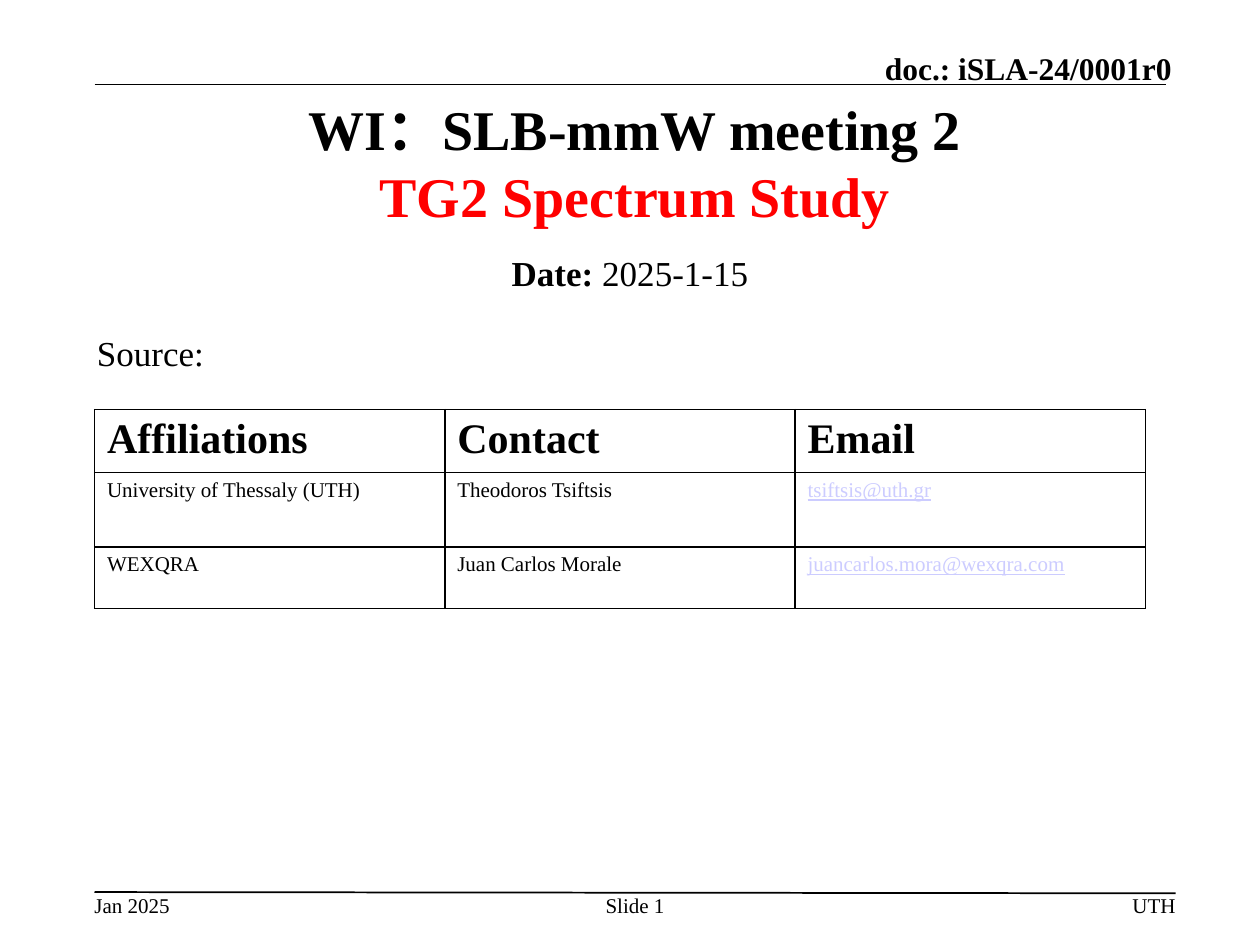
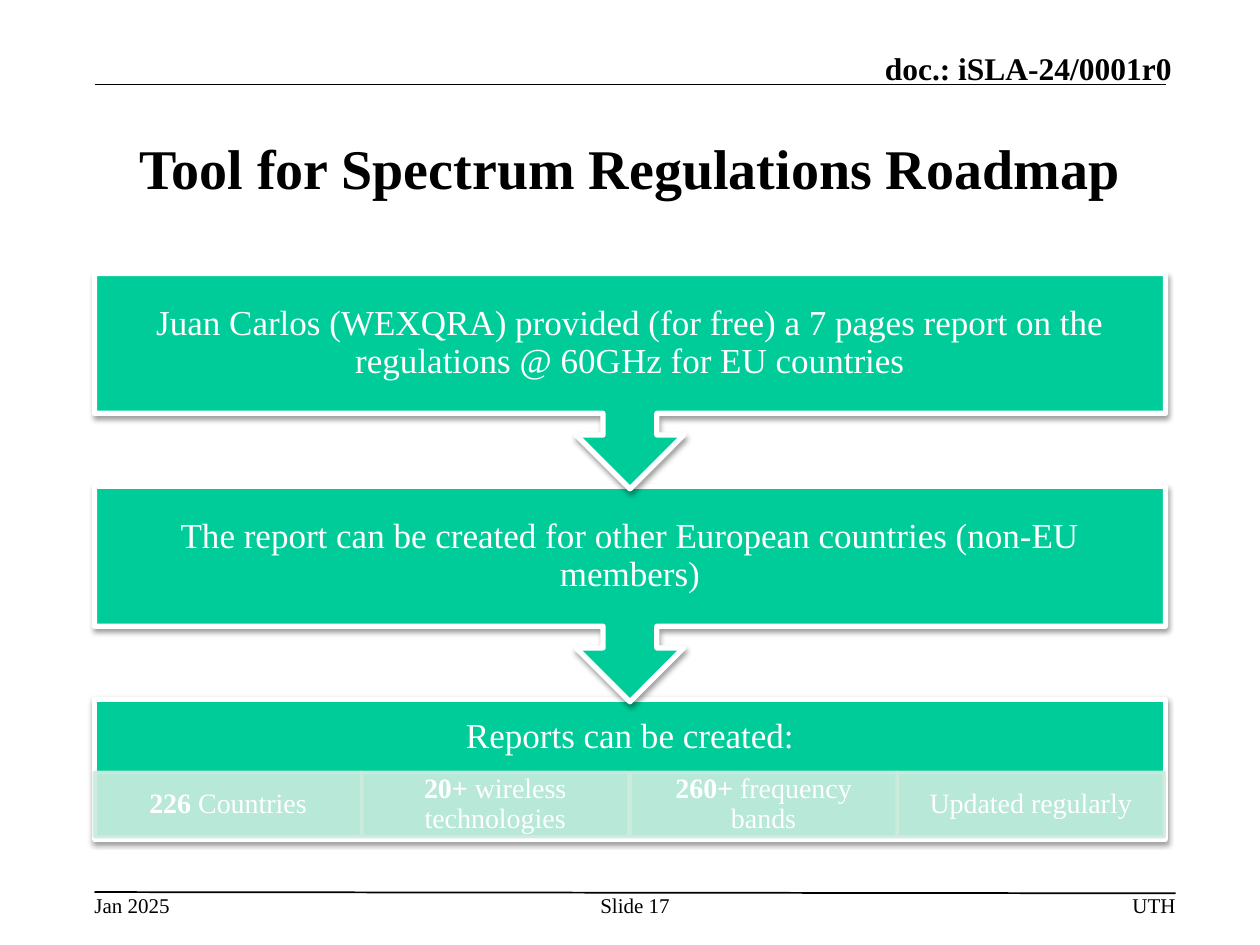
from dataclasses import dataclass

from lxml.etree import SubElement
from pptx import Presentation
from pptx.dml.color import RGBColor
from pptx.enum.shapes import MSO_CONNECTOR as CONN, MSO_SHAPE as SHAPE
from pptx.enum.text import MSO_ANCHOR as ANCHOR, PP_ALIGN as ALIGN
from pptx.oxml.ns import qn
from pptx.util import Emu, Pt

PX = 9144
FONT = "Times New Roman"
BLACK, WHITE, RED = "000000", "FFFFFF", "FF0000"
GREEN, MINT, LINK = "00CC99", "CCECDE", "CCCCFF"
LEFT, WIDTH = 75, 850


@dataclass(frozen=True)
class Box:
    x: int
    y: int
    w: int
    h: int

    def emu(self) -> list[Emu]:
        return [px(v) for v in (self.x, self.y, self.w, self.h)]


@dataclass(frozen=True)
class Style:
    size: int
    color: str = BLACK
    bold: bool = False
    underline: bool = False
    align: ALIGN = ALIGN.LEFT
    anchor: ANCHOR = ANCHOR.TOP
    insets: tuple[int, int, int, int] = (10, 5, 10, 5)
    before: int = 0
    spacing: float = 1.0
    wrap: bool = True


@dataclass(frozen=True)
class Label:
    box: Box
    text: str
    style: Style
    lead: str = ""


@dataclass(frozen=True)
class Panel:
    shape: SHAPE
    label: Label


FLUSH = (0, 0, 0, 0)
TITLE = Style(32, bold=True, align=ALIGN.CENTER, anchor=ANCHOR.MIDDLE)
FOOT = Style(12, insets=FLUSH, wrap=False)
FOOT_RIGHT = Style(12, align=ALIGN.RIGHT, insets=FLUSH)
FOOT_MID = Style(12, align=ALIGN.CENTER, insets=FLUSH)
DOC = Style(18, bold=True, align=ALIGN.RIGHT, anchor=ANCHOR.BOTTOM, insets=FLUSH)
DATE = Style(20, align=ALIGN.CENTER, before=5)
SOURCE = Style(20, before=5)
STEP = Style(20, WHITE, align=ALIGN.CENTER, anchor=ANCHOR.MIDDLE,
             insets=(16, 16, 16, 16), spacing=0.9)
STEP_HEAD = Style(20, WHITE, align=ALIGN.CENTER, anchor=ANCHOR.MIDDLE,
                  insets=(16, 16, 16, 67), spacing=0.9)
FACT = Style(16, WHITE, align=ALIGN.CENTER, anchor=ANCHOR.MIDDLE,
             insets=(12, 2, 12, 2), spacing=0.9)
HEAD_CELL = Style(24, bold=True)
CELL = Style(12)
LINK_CELL = Style(12, LINK, underline=True)

CHROME = [
    Label(Box(LEFT, 708, 60, 20), "Jan 2025", FOOT),
    Label(Box(547, 39, 383, 30), "doc.: iSLA-24/0001r0", DOC),
    Label(Box(750, 708, 183, 21), "UTH", FOOT_RIGHT),
]
RULES = [(LEFT, 67, 925, 67), (LEFT, 708, 933, 709)]

CONTACTS = [
    ("Affiliations", "Contact", "Email"),
    ("University of Thessaly (UTH)", "Theodoros Tsiftsis", "tsiftsis@uth.gr"),
    ("WEXQRA", "Juan Carlos Morale", "juancarlos.mora@wexqra.com"),
]
ROW_HEIGHTS = [49, 59, 49]
COL_WIDTH = 278

STEP_TOP, STEP_PITCH, STEP_HEIGHT = 217, 169, 171
STEPS = [
    "Juan Carlos (WEXQRA) provided (for free) a 7 pages report on the "
    "regulations @ 60GHz for EU countries",
    "The report can be created for other European countries (non-EU members)",
]
FACTS = [
    ("226", " Countries"),
    ("20+ ", "wireless technologies"),
    ("260+ ", "frequency bands"),
    ("", "Updated regularly"),
]


def px(n: int) -> Emu:
    return Emu(n * PX)


def rgb(color: str) -> RGBColor:
    return RGBColor.from_string(color)


def write(tf, text: str, style: Style, lead: str = "") -> None:
    p = tf.paragraphs[0]
    p.text = lead or text
    if lead:
        p.add_run().text = text
    p.alignment = style.align
    p.line_spacing = style.spacing
    p.space_before = Pt(style.before)
    for i, r in enumerate(p.runs):
        r.font.name = FONT
        r.font.size = Pt(style.size)
        r.font.bold = style.bold or bool(lead and i == 0)
        r.font.underline = style.underline
        r.font.color.rgb = rgb(style.color)


def fill_frame(tf, label: Label) -> None:
    style = label.style
    tf.word_wrap = style.wrap
    tf.vertical_anchor = style.anchor
    (tf.margin_left, tf.margin_top,
     tf.margin_right, tf.margin_bottom) = map(px, style.insets)
    write(tf, label.text, style, label.lead)


def add_label(s, label: Label):
    tf = s.shapes.add_textbox(*label.box.emu()).text_frame
    fill_frame(tf, label)
    return tf


def add_panel(s, panel: Panel, fill: str, line: str, line_width: int):
    sp = s.shapes.add_shape(panel.shape, *panel.label.box.emu())
    sp.shadow.inherit = False
    sp.fill.solid()
    sp.fill.fore_color.rgb = rgb(fill)
    sp.line.color.rgb = rgb(line)
    sp.line.width = Pt(line_width)
    fill_frame(sp.text_frame, panel.label)
    return sp


def set_alpha(sp, percent: int) -> None:
    for clr in sp._element.spPr.iter(qn("a:srgbClr")):
        SubElement(clr, qn("a:alpha"), val=str(percent * 1000))


def add_step(s, panel: Panel) -> None:
    sp = add_panel(s, panel, GREEN, WHITE, 3)
    effects = sp._element.spPr.find(qn("a:effectLst"))
    shadow = SubElement(effects, qn("a:outerShdw"), blurRad="40000",
                        dist="20000", dir="5400000", rotWithShape="0")
    clr = SubElement(shadow, qn("a:srgbClr"), val=BLACK)
    SubElement(clr, qn("a:alpha"), val="38000")


def add_rule(s, x1: int, y1: int, x2: int, y2: int) -> None:
    line = s.shapes.add_connector(CONN.STRAIGHT, px(x1), px(y1), px(x2), px(y2))
    line.line.color.rgb = rgb(BLACK)
    line.line.width = Pt(1)
    SubElement(line._element.spPr, qn("a:effectLst"))


def add_slide(prs, number: int):
    s = prs.slides.add_slide(prs.slide_layouts[6])
    for rule in RULES:
        add_rule(s, *rule)
    for label in CHROME:
        add_label(s, label)
    add_label(s, Label(Box(475, 708, 58, 40), f"Slide {number}", FOOT_MID))
    return s


def set_borders(cell) -> None:
    tc_pr = cell._tc.get_or_add_tcPr()
    for i, side in enumerate(("lnL", "lnR", "lnT", "lnB")):
        ln = tc_pr.makeelement(qn(f"a:{side}"), {"w": str(Pt(1))})
        fill = SubElement(ln, qn("a:solidFill"))
        SubElement(fill, qn("a:srgbClr"), val=BLACK)
        tc_pr.insert(i, ln)


def add_contacts(s) -> None:
    box = Box(LEFT, 325, 3 * COL_WIDTH, sum(ROW_HEIGHTS))
    table = s.shapes.add_table(len(CONTACTS), 3, *box.emu()).table
    for col in table.columns:
        col.width = px(COL_WIDTH)
    for i, row in enumerate(CONTACTS):
        table.rows[i].height = px(ROW_HEIGHTS[i])
        for j, text in enumerate(row):
            cell = table.cell(i, j)
            cell.fill.background()
            set_borders(cell)
            style = HEAD_CELL if i == 0 else LINK_CELL if j == 2 else CELL
            write(cell.text_frame, text, style)


def cover_slide(prs) -> None:
    s = add_slide(prs, 1)
    add_label(s, Label(Box(LEFT, 195, WIDTH, 43), " 2025-1-15", DATE, "Date:"))
    add_label(s, Label(Box(67, 258, 158, 42), "Source:", SOURCE))
    add_contacts(s)
    tf = add_label(s, Label(Box(79, 70, WIDTH, 117),
                            "WI：SLB-mmW meeting 2\vTG2 Spectrum Study", TITLE))
    tf.paragraphs[0].runs[1].font.color.rgb = rgb(RED)


def roadmap_slide(prs) -> None:
    s = add_slide(prs, 17)
    add_label(s, Label(Box(LEFT, 75, WIDTH, 116),
                       "Tool for Spectrum Regulations Roadmap", TITLE))
    last = Box(LEFT, STEP_TOP + 2 * STEP_PITCH, WIDTH, 111)
    add_step(s, Panel(SHAPE.RECTANGLE,
                      Label(last, "Reports can be created:", STEP_HEAD)))
    for i, (lead, text) in enumerate(FACTS):
        box = Box(LEFT + i * WIDTH // len(FACTS), 613, WIDTH // len(FACTS), 51)
        fact = Panel(SHAPE.RECTANGLE, Label(box, text, FACT, lead))
        set_alpha(add_panel(s, fact, MINT, MINT, 2), 90)
    for i, text in reversed(list(enumerate(STEPS))):
        box = Box(LEFT, STEP_TOP + i * STEP_PITCH, WIDTH, STEP_HEIGHT)
        add_step(s, Panel(SHAPE.DOWN_ARROW_CALLOUT, Label(box, text, STEP)))


def main() -> None:
    prs = Presentation()
    prs.slide_width, prs.slide_height = px(1000), px(750)
    cover_slide(prs)
    roadmap_slide(prs)
    prs.save("out.pptx")


if __name__ == "__main__":
    main()
